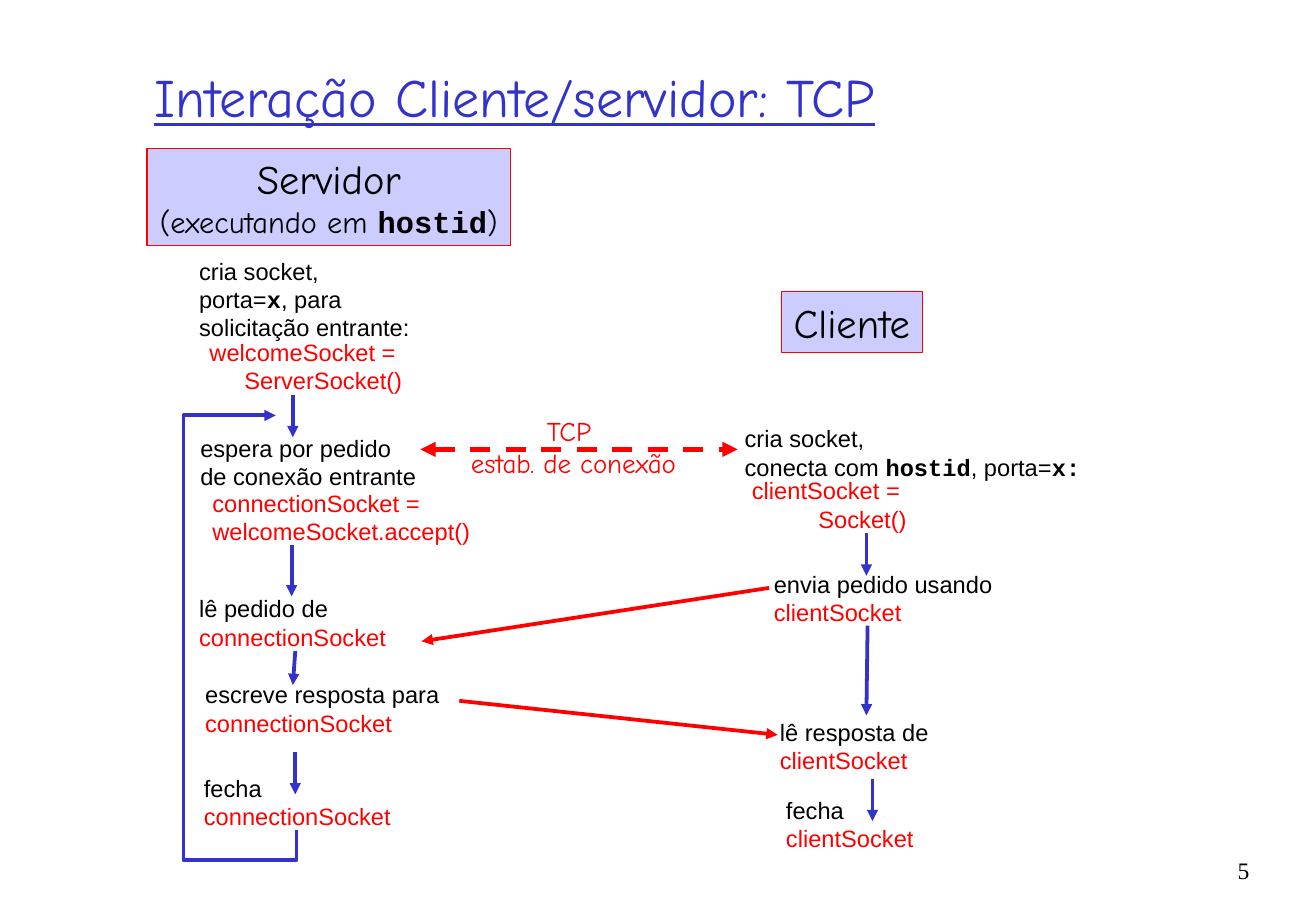
from lxml import etree
from pptx import Presentation
from pptx.dml.color import RGBColor
from pptx.enum.dml import MSO_LINE
from pptx.enum.shapes import MSO_CONNECTOR, MSO_SHAPE
from pptx.enum.text import MSO_ANCHOR, PP_ALIGN
from pptx.oxml.ns import qn
from pptx.util import Inches, Pt

COLORS = {"blue": "3333CC", "red": "FF0000", "black": "000000", "lilac": "CCCCFF"}

STYLES = {
    "title": ("Comic Neue", 32, "blue", False),
    "role": ("Comic Neue", 24, "black", False),
    "host": ("Comic Neue", 18, "black", False),
    "host_code": ("Courier New", 18, "black", True),
    "step": ("Arial", 14, "black", False),
    "step_code": ("Courier New", 14, "black", True),
    "call": ("Arial", 14, "red", False),
    "handshake": ("Comic Neue", 16, "red", False),
    "number": ("Times New Roman", 14, "black", False),
}


def color(name):
    """Return the named colour."""
    return RGBColor.from_string(COLORS[name])


def format_run(run, style):
    """Apply a named text style to a run."""
    font = run.font
    font.name, size, color_name, font.bold = STYLES[style]
    font.size = Pt(size)
    font.color.rgb = color(color_name)


def write_lines(text_frame, lines, align, wrap):
    """Write lines of (text, style) runs, one paragraph each."""
    text_frame.word_wrap = wrap
    text_frame.vertical_anchor = MSO_ANCHOR.MIDDLE
    for index, line in enumerate(lines):
        paragraph = text_frame.add_paragraph() if index else text_frame.paragraphs[0]
        paragraph.alignment = align
        for text, style in line:
            run = paragraph.add_run()
            run.text = text
            format_run(run, style)


def add_text(slide, left, top, width, height, lines, align=PP_ALIGN.LEFT):
    """Add a text box."""
    box = slide.shapes.add_textbox(Inches(left), Inches(top), Inches(width), Inches(height))
    write_lines(box.text_frame, lines, align, True)


def add_role(slide, left, top, width, height, lines):
    """Add a framed heading that names one side of the dialogue."""
    shape = slide.shapes.add_shape(
        MSO_SHAPE.RECTANGLE, Inches(left), Inches(top), Inches(width), Inches(height))
    shape.shadow.inherit = False
    shape.fill.solid()
    shape.fill.fore_color.rgb = color("lilac")
    shape.line.color.rgb = color("red")
    shape.line.width = Pt(0.75)
    write_lines(shape.text_frame, lines, PP_ALIGN.CENTER, False)


def style_arrow(line, color_name, width=2.25, ends=("tailEnd",)):
    """Colour a line and give it triangular arrowheads."""
    line.color.rgb = color(color_name)
    line.width = Pt(width)
    for end in ends:
        etree.SubElement(line._get_or_add_ln(), qn(f"a:{end}"), type="triangle")


def add_connector(slide, left, top, ends):
    """Add a straight connector between two points of a region."""
    start_x, start_y, end_x, end_y = ends
    connector = slide.shapes.add_connector(
        MSO_CONNECTOR.STRAIGHT, Inches(left + start_x), Inches(top + start_y),
        Inches(left + end_x), Inches(top + end_y))
    connector.line.width = Pt(2.25)
    etree.SubElement(connector._element.spPr, qn("a:effectLst"))
    return connector


def add_steps(slide, left, top, steps, arrows):
    """Add the steps of one side and the arrows between them."""
    for step_left, step_top, width, align, lines in steps:
        height = 0.1 + 0.235 * len(lines)
        add_text(slide, left + step_left, top + step_top, width, height, lines, align)
    for ends in arrows:
        style_arrow(add_connector(slide, left, top, ends).line, "blue")


def socket_step(action, socket):
    """Return the lines of a step that acts on a socket."""
    return [[(action, "step")], [(socket, "call")]]


def call_lines(*texts):
    """Return lines of code, one for each text."""
    return [[(text, "call")] for text in texts]


def add_title(slide, left, top, width, height):
    """Place and format the slide title."""
    title = slide.shapes.title
    title.left, title.top = Inches(left), Inches(top)
    title.width, title.height = Inches(width), Inches(height)
    title.text_frame.text = "Interação Cliente/servidor: TCP"
    title.text_frame.vertical_anchor = MSO_ANCHOR.MIDDLE
    paragraph = title.text_frame.paragraphs[0]
    paragraph.alignment = PP_ALIGN.LEFT
    format_run(paragraph.runs[0], "title")
    paragraph.runs[0].font.underline = True


def add_server(slide, left, top):
    """Add the server side with its loop back to waiting."""
    add_role(slide, left, top, 2.99, 0.8, [
        [("Servidor", "role")],
        [("(executando em ", "host"), ("hostid", "host_code"), (")", "host")]])
    socket = "connectionSocket"
    steps = [
        (0.33, 0.84, 2.2, PP_ALIGN.LEFT, [
            [("cria socket,", "step")],
            [("porta=", "step"), ("x", "step_code"), (", para", "step")],
            [("solicitação entrante:", "step")]]),
        (0.2, 1.51, 2, PP_ALIGN.RIGHT, call_lines("welcomeSocket = ", "ServerSocket()")),
        (0.34, 2.3, 2.2, PP_ALIGN.LEFT,
         [[("espera por pedido", "step")], [("de conexão entrante", "step")]]),
        (0.44, 2.75, 2.6, PP_ALIGN.LEFT,
         call_lines("connectionSocket =", "welcomeSocket.accept()")),
        (0.33, 3.62, 2, PP_ALIGN.LEFT, socket_step("lê pedido de", socket)),
        (0.38, 4.33, 2.4, PP_ALIGN.LEFT, socket_step("escreve resposta para", socket)),
        (0.37, 5.1, 2, PP_ALIGN.LEFT, socket_step("fecha", socket)),
    ]
    arrows = [(1.2, 2.03, 1.2, 2.38), (1.19, 3.27, 1.19, 3.69),
              (1.22, 4.14, 1.2, 4.42), (1.22, 4.97, 1.22, 5.32)]
    add_steps(slide, left, top, steps, arrows)
    corners = [(1.23, 5.61), (1.23, 5.86), (0.3, 5.86), (0.3, 2.2), (1.06, 2.2)]
    points = [(Inches(left + x), Inches(top + y)) for x, y in corners]
    builder = slide.shapes.build_freeform(*points[0])
    builder.add_line_segments(points[1:], close=False)
    loop = builder.convert_to_shape()
    loop.shadow.inherit = False
    loop.fill.background()
    style_arrow(loop.line, "blue")


def add_client(slide, left, top):
    """Add the client side."""
    add_role(slide, left + 0.4, top, 1.16, 0.5, [[("Cliente", "role")]])
    socket = "clientSocket"
    steps = [
        (0, 1.04, 3.2, PP_ALIGN.LEFT, [
            [("cria socket,", "step")],
            [("conecta com ", "step"), ("hostid", "step_code"),
             (", porta=", "step"), ("x:", "step_code")]]),
        (-0.17, 1.47, 1.7, PP_ALIGN.RIGHT, call_lines("clientSocket = ", "Socket()")),
        (0.24, 2.24, 2.2, PP_ALIGN.LEFT, socket_step("envia pedido usando", socket)),
        (0.29, 3.46, 1.7, PP_ALIGN.LEFT, socket_step("lê resposta de", socket)),
        (0.34, 4.1, 1.5, PP_ALIGN.LEFT, socket_step("fecha", socket)),
    ]
    arrows = [(1.1, 1.99, 1.1, 2.34), (1.11, 2.75, 1.1, 3.49), (1.15, 4.01, 1.15, 4.36)]
    add_steps(slide, left, top, steps, arrows)


def add_messages(slide, left, top):
    """Add the handshake and the messages between both sides."""
    for ends in [(2.87, 1.48, 0.01, 1.92), (0.32, 2.41, 2.94, 2.69)]:
        style_arrow(add_connector(slide, left, top, ends).line, "red")
    handshake = add_connector(slide, left, top, (0, 0.34, 2.61, 0.34))
    handshake.line.dash_style = MSO_LINE.DASH
    style_arrow(handshake.line, "red", 3, ("headEnd", "tailEnd"))
    add_text(slide, left + 0.21, top, 2.1, 0.64,
             [[("TCP ", "handshake")], [("estab. de conexão", "handshake")]],
             PP_ALIGN.CENTER)


def main():
    """Build the slide and save it."""
    presentation = Presentation()
    presentation.slide_width, presentation.slide_height = Inches(10.83), Inches(7.5)
    slide = presentation.slides.add_slide(presentation.slide_layouts[5])
    add_title(slide, 1.17, 0.25, 8.49, 1.08)
    add_server(slide, 1.21, 1.22)
    add_client(slide, 6.03, 2.4)
    add_messages(slide, 3.46, 3.36)
    add_text(slide, 9.84, 7, 0.54, 0.33, [[("5", "number")]], PP_ALIGN.RIGHT)
    presentation.save("out.pptx")


if __name__ == "__main__":
    main()
